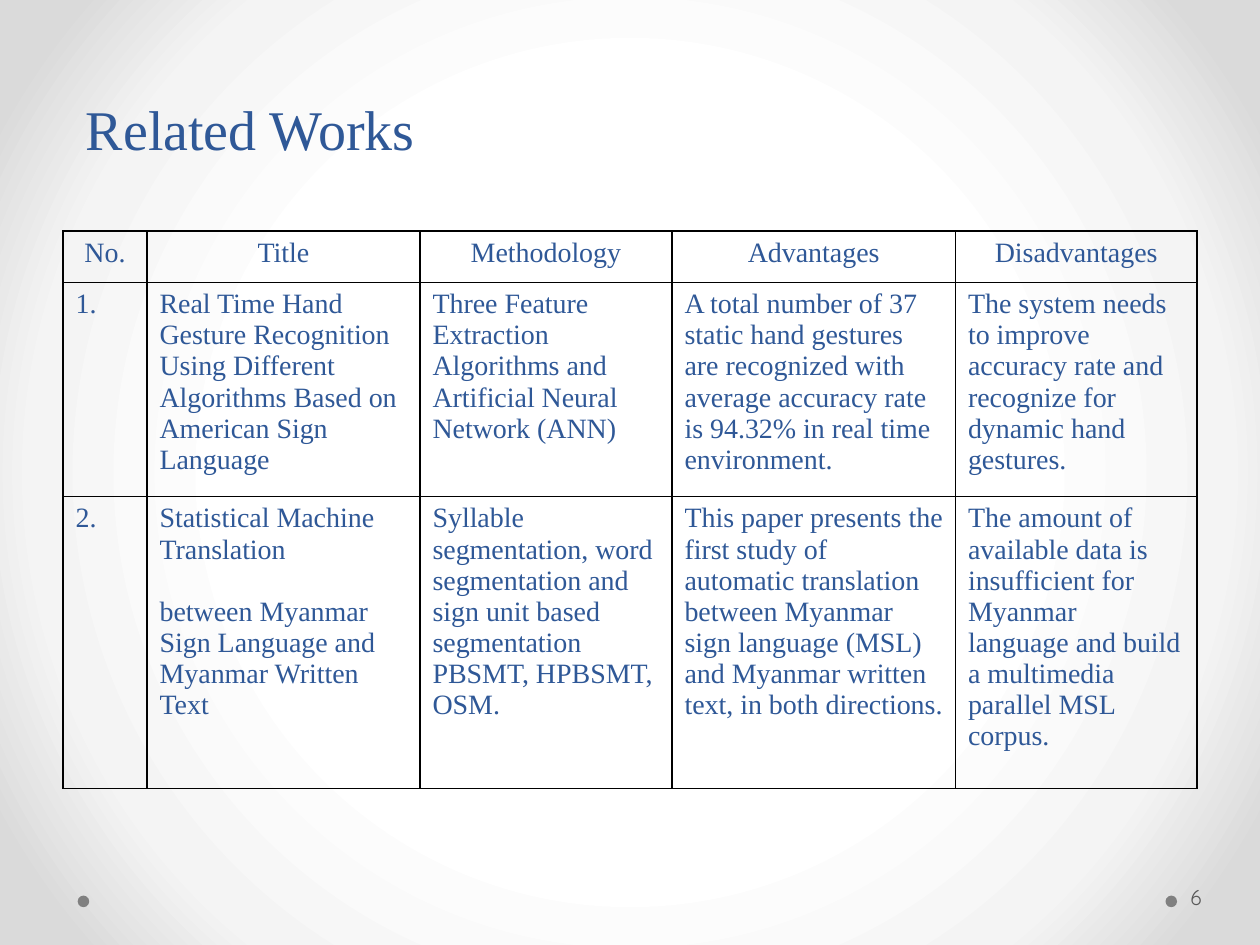
"""Build the Related Works slide with its comparison table."""
from pptx import Presentation, util as u
from pptx.dml.color import RGBColor
from pptx.enum import shapes, text
from pptx.oxml import parse_xml
from pptx.oxml.ns import nsdecls, qn

BLUE, GREY, DOT, BLACK = "2F5897", "595959", "808080", "000000"
SERIF, SANS = "Times New Roman", "Quicksand"


def grid(*steps):
    return [u.Emu(round(step * column)) for step in steps]


def write(para, words, font, size, color, **layout):
    span = para.add_run()
    span.text = words
    for name, value in {"name": font, "size": u.Pt(size)}.items():
        setattr(span.font, name, value)
    span.font.color.rgb = RGBColor.from_string(color)
    for name, value in layout.items():
        setattr(para, name, value)


deck = Presentation()
deck.slide_width, deck.slide_height = u.Inches(10), u.Inches(7.5)
column = deck.slide_width / 120
page = deck.slides.add_slide(deck.slide_layouts[6])

page.background.fill.gradient()
plain = page.element.find(".//" + qn("a:gradFill"))
stops = "".join(
    f'<a:gs pos="{share * 1000}"><a:srgbClr val="{color}"/></a:gs>'
    for share, color in ((50, "FFFFFF"), (76, "F4F4F4"), (92, "DADADA"))
)
glow = parse_xml(
    f'<a:gradFill {nsdecls("a")} rotWithShape="1"><a:gsLst>{stops}</a:gsLst>'
    '<a:path path="circle"><a:fillToRect l="50000" t="50000" r="50000" b="50000"/>'
    "</a:path></a:gradFill>"
)
plain.getparent().replace(plain, glow)

for left in (7.4, 111):
    dot = page.shapes.add_shape(shapes.MSO_SHAPE.OVAL, *grid(left, 85.3, 1.1, 1.1))
    dot.shadow.inherit = False
    dot.fill.solid()
    dot.fill.fore_color.rgb = RGBColor.from_string(DOT)
    dot.line.fill.background()

boxes = (
    ("Related Works", (7, 3, 107, 13), SERIF, 32, BLUE,
     {"vertical_anchor": text.MSO_ANCHOR.BOTTOM}, {"line_spacing": u.Pt(58)}),
    ("6", (113, 83, 7.3, 4.8), SANS, 12, GREY,
     {"vertical_anchor": text.MSO_ANCHOR.MIDDLE, "margin_left": u.Inches(0.03),
      "margin_right": u.Inches(0.05)}, {}),
)
for words, place, font, size, color, frame, layout in boxes:
    box = page.shapes.add_textbox(*grid(*place))
    for name, value in {"word_wrap": True, **frame}.items():
        setattr(box.text_frame, name, value)
    write(box.text_frame.paragraphs[0], words, font, size, color, **layout)

works = (
    ("No.", "Title", "Methodology", "Advantages", "Disadvantages"),
    ("1.",
     "Real Time Hand Gesture Recognition Using Different Algorithms Based on "
     "American Sign Language",
     "Three Feature Extraction Algorithms and Artificial Neural Network (ANN)",
     "A total number of 37 static hand gestures are recognized with average "
     "accuracy rate is 94.32% in real time environment.",
     "The system needs to improve accuracy rate and recognize for dynamic hand "
     "gestures."),
    ("2.",
     "Statistical Machine Translation\n"
     "between Myanmar Sign Language and Myanmar Written Text",
     "Syllable segmentation, word segmentation and sign unit based segmentation\n"
     "PBSMT, HPBSMT, OSM.",
     "This paper presents the first study of automatic translation between Myanmar "
     "sign language (MSL) and Myanmar written text, in both directions.",
     "The amount of available data is insufficient for Myanmar language and build "
     "a multimedia parallel MSL corpus."),
)
widths, heights = (8, 26, 24, 27, 23), (4.9, 19, 27.8)
table = page.shapes.add_table(
    len(heights), len(widths), *grid(6, 22, sum(widths), sum(heights))
).table
for name in ("first_row", "horz_banding"):
    setattr(table, name, False)
for band, width in zip(table.columns, grid(*widths)):
    band.width = width
for band, height in zip(table.rows, grid(*heights)):
    band.height = height

for row, entries in enumerate(works):
    for col, entry in enumerate(entries):
        cell = table.cell(row, col)
        cell.fill.background()
        borders = cell._tc.get_or_add_tcPr()
        for order, side in enumerate("LRTB"):
            borders.insert(order, parse_xml(
                f'<a:ln{side} {nsdecls("a")} w="{u.Pt(1)}"><a:solidFill>'
                f'<a:srgbClr val="{BLACK}"/></a:solidFill></a:ln{side}>'
            ))
        for index, words in enumerate(entry.split("\n")):
            frame = cell.text_frame
            para = frame.add_paragraph() if index else frame.paragraphs[0]
            layout = {"alignment": text.PP_ALIGN.LEFT if row else text.PP_ALIGN.CENTER}
            if index and col == 1:
                layout["space_before"] = u.Pt(18)
            write(para, words, SERIF, 16, BLUE, **layout)

deck.save("out.pptx")
